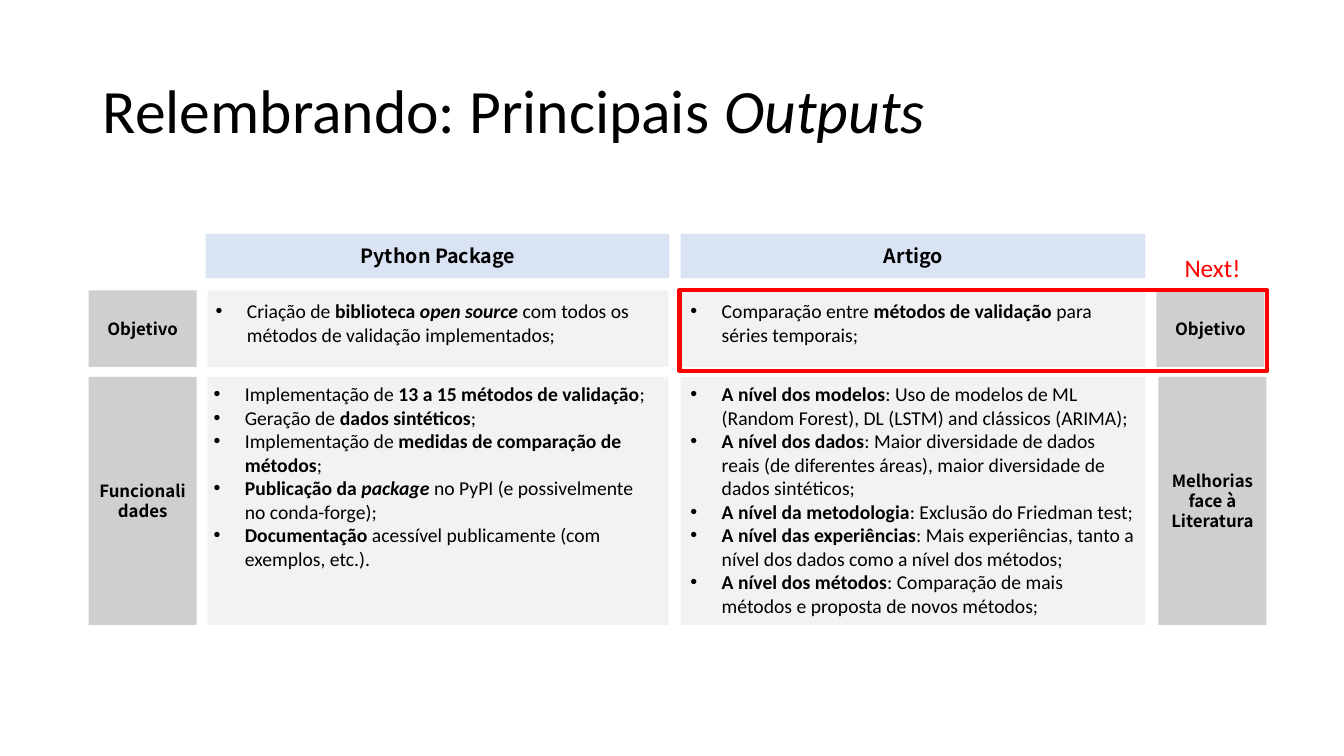
from pptx import Presentation, util as u
from pptx.dml.color import RGBColor
from pptx.enum import shapes, text
from pptx.oxml.ns import qn
from lxml import etree

HUES = {"pale": "F2F2F2", "grey": "D0CECE", "blue": "DAE3F3",
        "red": "FF0000", "black": "000000"}
HEAD, BODY = "Noto Sans CJK TC", "Calibri"

deck = Presentation()
deck.slide_width, deck.slide_height = u.Inches(13.33), u.Inches(7.5)
slide = deck.slides.add_slide(deck.slide_layouts[5])


def block(spot, fill=None):
    spot = [u.Inches(v) for v in spot]
    if fill is None:
        return slide.shapes.add_textbox(*spot)
    box = slide.shapes.add_shape(shapes.MSO_SHAPE.RECTANGLE, *spot)
    box.shadow.inherit = False
    box.fill.solid()
    box.fill.fore_color.rgb = RGBColor.from_string(HUES[fill])
    box.line.fill.background()
    return box


def write(box, lines, size, face, hue="black", list_item=False, align=None):
    frame = box.text_frame
    frame.word_wrap = True
    for i, line in enumerate(lines):
        para = frame.paragraphs[0] if i == 0 else frame.add_paragraph()
        para.alignment = align
        if list_item:
            props = para._p.get_or_add_pPr()
            props.set("marL", str(u.Inches(0.31)))
            props.set("indent", str(-u.Inches(0.31)))
            etree.SubElement(props, qn("a:buFont")).set("typeface", "Arial")
            etree.SubElement(props, qn("a:buChar")).set("char", "•")
        for j, strong in enumerate(line.split("*")):
            for k, part in enumerate(strong.split("_")):
                if part:
                    run = para.add_run()
                    run.text = part
                    font = run.font
                    font.size, font.name = u.Pt(size), face
                    font.bold, font.italic = j % 2 == 1, k % 2 == 1
                    font.color.rgb = RGBColor.from_string(HUES[hue])


MID = text.PP_ALIGN.CENTER
FIT = text.MSO_AUTO_SIZE.SHAPE_TO_FIT_TEXT
COLS = [(2.06, 4.57), (6.75, 4.61)]
ROWS = [(2.88, 0.76), (3.74, 2.46)]
TOP, BAR, SIDE = 2.32, 0.44, 1.07

title = slide.shapes.title
title.left, title.top = u.Inches(0.92), u.Inches(0.4)
title.width, title.height = u.Inches(11.5), u.Inches(1.45)
write(title, ["Relembrando: Principais _Outputs_"], 44, BODY,
      align=text.PP_ALIGN.LEFT)
title.text_frame.vertical_anchor = text.MSO_ANCHOR.MIDDLE
title.text_frame.paragraphs[0].line_spacing = 0.9

for x, w in COLS:
    for y, h in ROWS:
        block((x, y, w, h), "pale")

lists = [
    ((2.04, 2.92, 4.61, 0.57), [
        "Criação de *biblioteca _open source _*com todos os métodos de validação implementados;"]),
    ((6.75, 2.92, 4.61, 0.57), [
        "Comparação entre *métodos de validação *para séries temporais;"]),
    ((2.02, 3.74, 4.61, 1.99), [
        "Implementação de *13 a 15 métodos de validação*;",
        "Geração de *dados sintéticos*;",
        "Implementação de *medidas de comparação de métodos*;",
        "*Publicação da _package _*no PyPI (e possivelmente no conda-forge);",
        "*Documentação *acessível publicamente (com exemplos, etc.)."]),
    ((6.75, 3.74, 4.61, 2.46), [
        "*A nível dos modelos*: Uso de modelos de ML (Random Forest), DL (LSTM) and clássicos (ARIMA);",
        "*A nível dos dados*: Maior diversidade de dados reais (de diferentes áreas), maior diversidade de dados sintéticos;",
        "*A nível da metodologia*: Exclusão do Friedman test;",
        "*A nível das experiências*: Mais experiências, tanto a nível dos dados como a nível dos métodos;",
        "*A nível dos métodos*: Comparação de mais métodos e proposta de novos métodos;"]),
]
for spot, lines in lists:
    box = block(spot)
    write(box, lines, 14, BODY, list_item=True)
    box.text_frame.auto_size = FIT

sides = [(0.88, 0, "Objetivo"), (0.88, 1, "Funcionalidades"),
         (11.47, 0, "Objetivo"), (11.49, 1, "Melhorias face à Literatura")]
for x, row, name in sides:
    y, h = ROWS[row]
    tag = block((x, y, SIDE, h), "grey")
    write(tag, [f"*{name}*"], 12, HEAD, align=MID)
    tag.text_frame.vertical_anchor = text.MSO_ANCHOR.MIDDLE

heads = [(2.04, 4.6, 3.33, 2.03, "Python Package"),
         (6.75, 4.61, 8.64, 0.84, "Artigo")]
for x, w, left, wide, name in heads:
    block((x, TOP, w, BAR), "blue")
    label = block((left, TOP + 0.05, wide, 0.34))
    write(label, [f"*{name}*"], 14, HEAD, align=MID)
    label.text_frame.auto_size = FIT

frame = block((6.74, 2.88, 5.83, 0.8), "red")
frame.fill.background()
frame.line.color.rgb = RGBColor.from_string(HUES["red"])
frame.line.width = u.Pt(3)

note = block((11.65, 2.45, 0.76, 0.4))
write(note, ["Next!"], 18, BODY, "red")
note.text_frame.word_wrap = False
note.text_frame.auto_size = FIT

deck.save("out.pptx")
